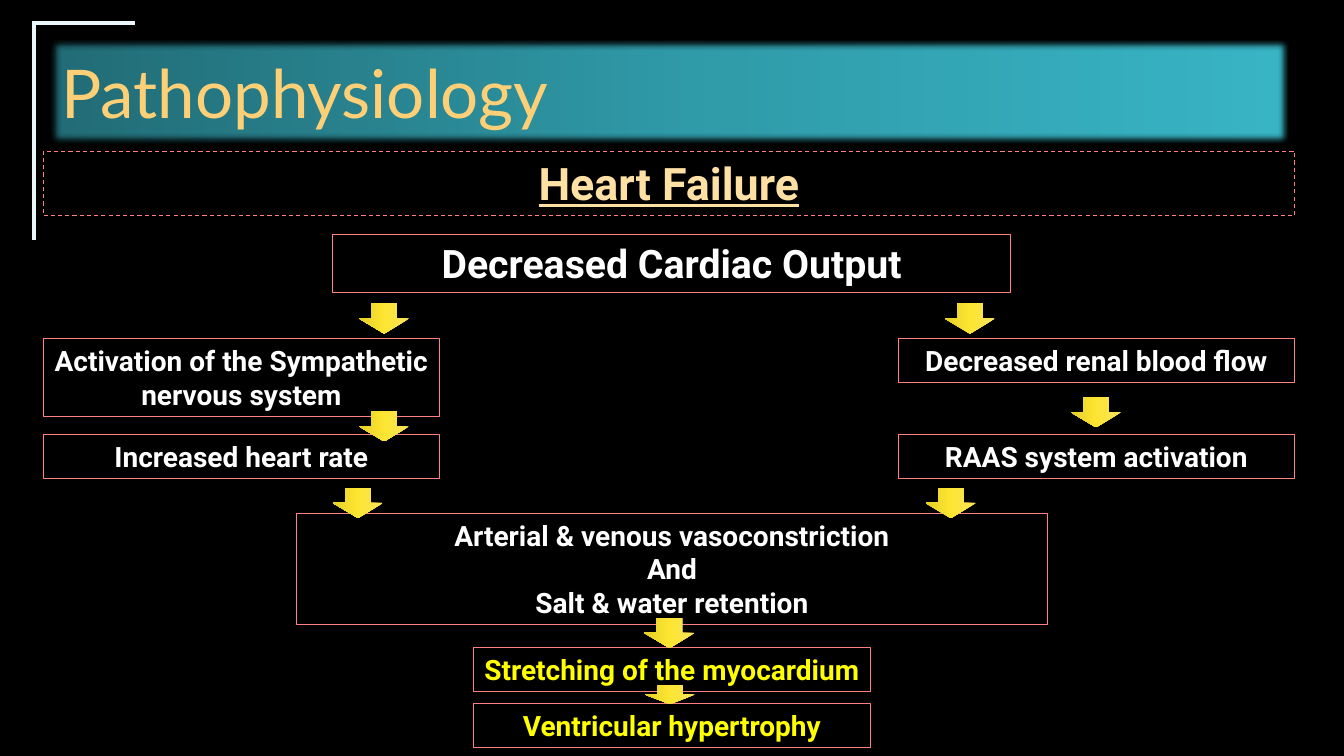
from lxml import etree
from pptx import Presentation
from pptx import util as u
from pptx.dml.color import RGBColor
from pptx.enum import dml, shapes, text
from pptx.oxml.ns import qn

WHITE, YELLOW, CREAM = "FFFFFF", "FFFF00", "FEE0A4"
TEAL = ("216B75", "2F99A7", "38B5C6")
GOLD = ("F8E35C", "FDE531", "E5CE27")
SIDE = 3.93
LEFT, MID, RIGHT = 0.43, 4.7, 8.91

BOXES = [
    (3.3, 2.33, 6.72, 0.57, 28, WHITE, ["Decreased Cardiac Output"]),
    (LEFT, 3.36, SIDE, 0.77, 20, WHITE,
     ["Activation of the Sympathetic nervous system"]),
    (LEFT, 4.31, SIDE, 0.44, 20, WHITE, ["Increased heart rate"]),
    (RIGHT, 3.36, SIDE, 0.44, 20, WHITE, ["Decreased renal blood flow"]),
    (RIGHT, 4.31, SIDE, 0.44, 20, WHITE, ["RAAS system activation"]),
    (2.94, 5.09, 7.45, 1.11, 20, WHITE,
     ["Arterial & venous vasoconstriction", "And", "Salt & water retention"]),
    (MID, 6.42, SIDE, 0.44, 20, YELLOW, ["Stretching of the myocardium"]),
    (MID, 6.98, SIDE, 0.44, 20, YELLOW, ["Ventricular hypertrophy"]),
]
ARROWS = [
    (3.66, 2.91, 0.3), (9.47, 2.91, 0.3), (3.66, 3.98, 0.3),
    (10.72, 3.84, 0.3), (3.4, 4.74, 0.3), (9.28, 4.74, 0.3),
    (6.49, 6.03, 0.3), (6.55, 6.64, 0.19),
]


def rgb(code):
    """Turn a hex string into a colour."""
    return RGBColor.from_string(code)


def inches(*sizes):
    """Turn numbers into lengths."""
    return [u.Inches(size) for size in sizes]


def blend(shape, codes, angle):
    """Fill a shape with evenly spaced gradient stops."""
    shape.fill.gradient()
    shape.fill.gradient_angle = angle
    stops = shape.element.spPr.find(".//" + qn("a:gsLst"))
    for stop in list(stops):
        stops.remove(stop)
    for i, code in enumerate(codes):
        pos = i * 100000 // (len(codes) - 1)
        stop = etree.SubElement(stops, qn("a:gs"), pos=str(pos))
        etree.SubElement(stop, qn("a:srgbClr"), val=code)


def write(para, words, face, size, code, bold=False, under=False):
    """Add one formatted run to a paragraph."""
    run = para.add_run()
    run.text = words
    font = run.font
    font.name, font.size = face, u.Pt(size)
    font.bold, font.underline = bold, under
    font.color.rgb = rgb(code)


def add_title(slide, words):
    """Format the title as a soft teal banner."""
    title = slide.shapes.title
    title.left, title.top, title.width, title.height = inches(
        0.51, 0.4, 12.26, 1.02)
    blend(title, TEAL, 0)
    title.line.color.rgb = rgb("30818C")
    title.line.width = u.Pt(1)
    effects = etree.SubElement(title.element.spPr, qn("a:effectLst"))
    etree.SubElement(effects, qn("a:softEdge"), rad="63500")
    frame = title.text_frame
    frame.auto_size = text.MSO_AUTO_SIZE.NONE
    frame.vertical_anchor = text.MSO_ANCHOR.MIDDLE
    para = frame.paragraphs[0]
    para.alignment = text.PP_ALIGN.LEFT
    write(para, words, "Lato", 48, "FDD077")


def add_box(slide, x, y, w, h, size, code, lines, head=False):
    """Add an outlined box of centred bold text."""
    box = slide.shapes.add_textbox(*inches(x, y, w, h))
    box.line.color.rgb = rgb("FF8181")
    box.line.width = u.Pt(0.75)
    if head:
        box.line.dash_style = dml.MSO_LINE.DASH
    frame = box.text_frame
    frame.word_wrap = True
    frame.auto_size = text.MSO_AUTO_SIZE.SHAPE_TO_FIT_TEXT
    for i, words in enumerate(lines):
        para = frame.add_paragraph() if i else frame.paragraphs[0]
        para.alignment = text.PP_ALIGN.CENTER
        write(para, words, "Roboto", size, code, True, head)


def add_arrow(slide, x, y, length):
    """Add a golden arrow pointing down."""
    arrow = slide.shapes.add_shape(
        shapes.MSO_SHAPE.RIGHT_ARROW, *inches(x, y, length, 0.5))
    arrow.rotation = 90
    arrow.shadow.inherit = False
    blend(arrow, GOLD, 270)
    arrow.line.fill.background()


def add_rule(slide, *ends):
    """Add a pale corner line."""
    rule = slide.shapes.add_connector(
        shapes.MSO_CONNECTOR.STRAIGHT, *inches(*ends))
    rule.line.color.rgb = rgb("EAF7FA")
    rule.line.width = u.Pt(3)
    etree.SubElement(rule.element.spPr, qn("a:effectLst"))


def main():
    """Build and save the slide."""
    deck = Presentation()
    deck.slide_width, deck.slide_height = inches(13.33, 7.5)
    slide = deck.slides.add_slide(deck.slide_layouts[5])
    back = slide.background.fill
    back.solid()
    back.fore_color.rgb = rgb("000000")
    add_rule(slide, 0.32, 0.23, 1.34, 0.23)
    add_rule(slide, 0.34, 0.23, 0.34, 2.38)
    add_title(slide, "Pathophysiology")
    add_box(slide, LEFT, 1.5, 12.41, 0.64, 32, CREAM, ["Heart Failure"], True)
    for box in BOXES:
        add_box(slide, *box)
    for arrow in ARROWS:
        add_arrow(slide, *arrow)
    deck.save("out.pptx")


if __name__ == "__main__":
    main()
